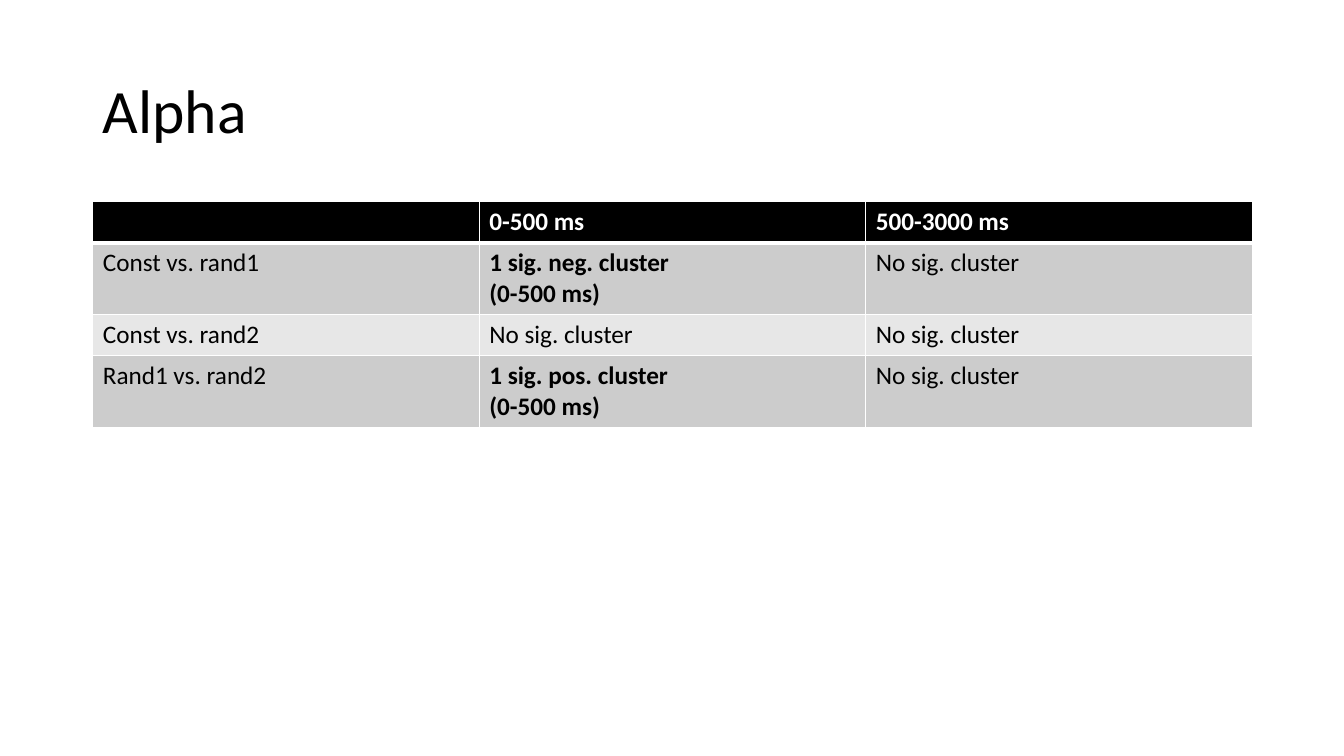
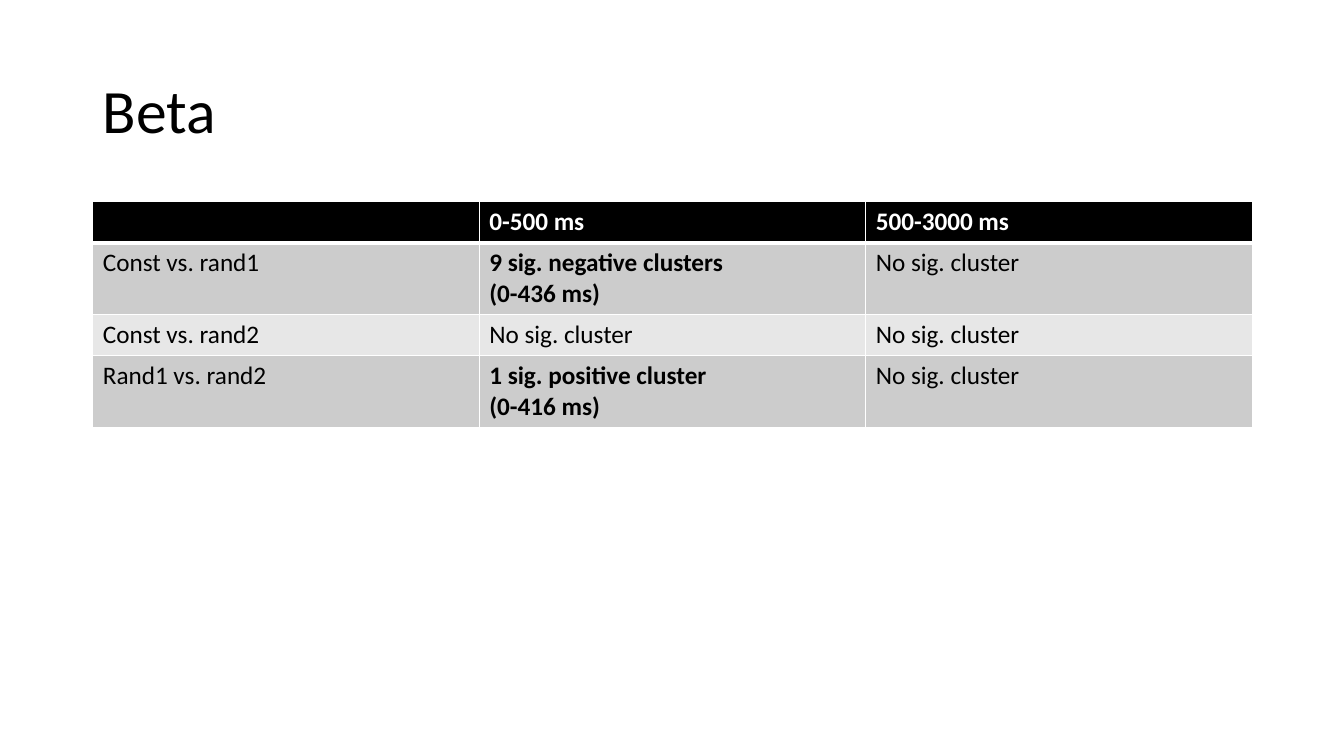
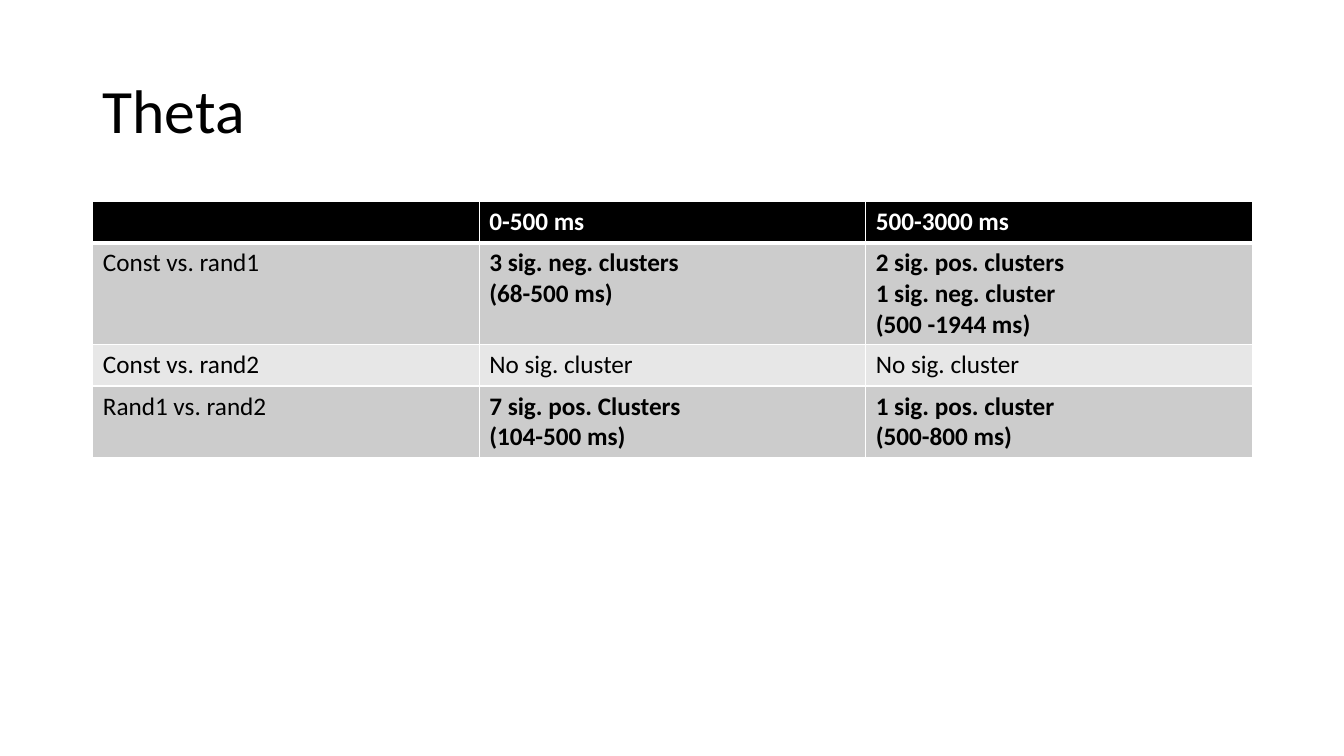
import pptx
import pptx.util
import pptx.dml.color
import pptx.enum.text
import pptx.oxml
import pptx.oxml.ns
from pptx.util import Inches

FONT = "Calibri"
BLACK, WHITE = "000000", "FFFFFF"
BANDS = ["CCCCCC", "E7E7E7"]
TITLE_BOX = (0.92, 0.4, 11.5, 1.45)
TABLE_BOX = (0.92, 2, 11.5)
ROW_HEIGHT, LINE_HEIGHT = 0.41, 0.3
HEADER = ["", "0-500 ms", "500-3000 ms"]
COMPARISONS = ["Const vs. rand1", "Const vs. rand2", "Rand1 vs. rand2"]
NONE = "No sig. cluster"

RESULTS = {
    "Alpha": [
        ["1 sig. neg. cluster\n(0-500 ms)", NONE],
        [NONE, NONE],
        ["1 sig. pos. cluster\n(0-500 ms)", NONE],
    ],
    "Beta": [
        ["9 sig. negative clusters\n(0-436 ms)", NONE],
        [NONE, NONE],
        ["1 sig. positive cluster\n(0-416 ms)", NONE],
    ],
    "Theta": [
        ["3 sig. neg. clusters\n(68-500 ms)",
         "2 sig. pos. clusters\n1 sig. neg. cluster\n(500 -1944 ms)"],
        [NONE, NONE],
        ["7 sig. pos. Clusters\n(104-500 ms)", "1 sig. pos. cluster\n(500-800 ms)"],
    ],
}


def rgb(value):
    """Return the colour for a hex string."""
    return pptx.dml.color.RGBColor.from_string(value)


def set_font(p, size, color, bold=False):
    """Set the font of a paragraph."""
    p.font.name = FONT
    p.font.size = pptx.util.Pt(size)
    p.font.bold = bold
    p.font.color.rgb = rgb(color)


def set_borders(cell, top, bottom):
    """Draw white cell borders with the given top and bottom widths in points."""
    tc_pr = cell._tc.get_or_add_tcPr()
    for side, width in [("L", 1), ("R", 1), ("T", top), ("B", bottom)]:
        tc_pr.append(pptx.oxml.parse_xml(
            f'<a:ln{side} {pptx.oxml.ns.nsdecls("a")} w="{pptx.util.Pt(width)}">'
            f'<a:solidFill><a:srgbClr val="{WHITE}"/></a:solidFill></a:ln{side}>'))


def fill_cell(cell, text, fill, color, bold):
    """Write the text of a cell and colour it."""
    cell.fill.solid()
    cell.fill.fore_color.rgb = rgb(fill)
    cell.text = text
    for p in cell.text_frame.paragraphs:
        set_font(p, 18, color, bold)


def add_title(slide, box, text):
    """Add the slide title, centred vertically in its box."""
    tf = slide.shapes.add_textbox(*map(Inches, box)).text_frame
    tf.word_wrap = True
    tf.vertical_anchor = pptx.enum.text.MSO_ANCHOR.MIDDLE
    p = tf.paragraphs[0]
    p.text = text
    p.line_spacing = 0.9
    set_font(p, 44, BLACK)


def add_results(slide, box, results):
    """Add the cluster table, with row heights that follow the line counts."""
    left, top, width = box
    rows = [HEADER] + [[name] + row for name, row in zip(COMPARISONS, results)]
    heights = [ROW_HEIGHT + LINE_HEIGHT * max(text.count("\n") for text in row)
               for row in rows]
    table = slide.shapes.add_table(
        len(rows), len(HEADER), Inches(left), Inches(top),
        Inches(width), Inches(sum(heights))).table
    for i, (row, height) in enumerate(zip(rows, heights)):
        table.rows[i].height = Inches(height)
        for j, text in enumerate(row):
            cell = table.cell(i, j)
            set_borders(cell, 3 if i == 1 else 1, 3 if i == 0 else 1)
            if i == 0:
                fill_cell(cell, text, BLACK, WHITE, True)
            else:
                fill_cell(cell, text, BANDS[(i - 1) % 2], BLACK,
                          j > 0 and text != NONE)


def add_band_slide(prs, title, results):
    """Add one slide with the results of a frequency band."""
    slide = prs.slides.add_slide(prs.slide_layouts[6])
    add_title(slide, TITLE_BOX, title)
    add_results(slide, TABLE_BOX, results)


prs = pptx.Presentation()
prs.slide_width, prs.slide_height = Inches(13.33), Inches(7.5)
for title, results in RESULTS.items():
    add_band_slide(prs, title, results)
prs.save("out.pptx")
